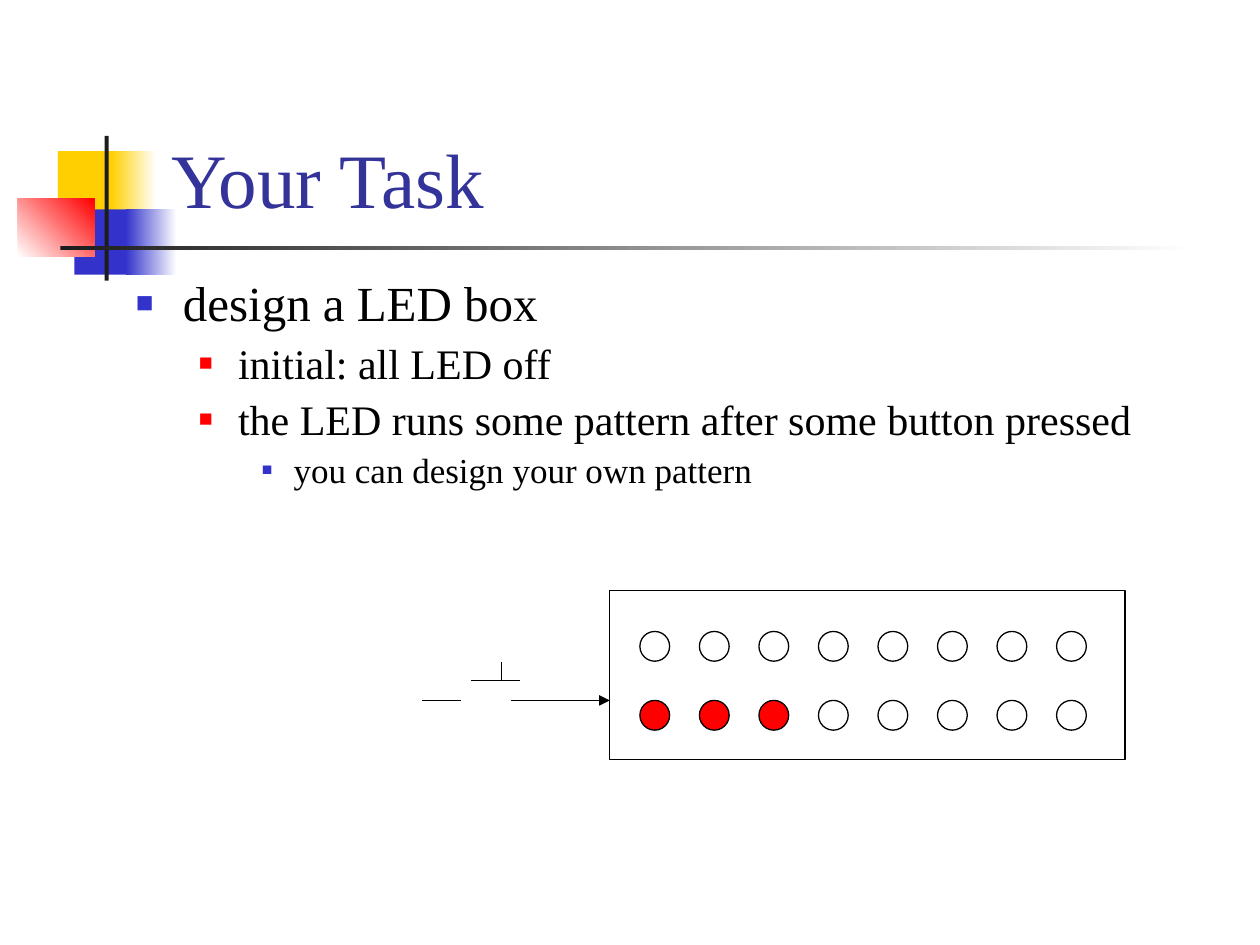
from lxml.etree import SubElement
from pptx import Presentation
from pptx.dml.color import RGBColor
from pptx.enum.shapes import MSO_CONNECTOR as CONN, MSO_SHAPE as SHAPE
from pptx.enum.text import MSO_ANCHOR as ANCHOR
from pptx.oxml.ns import qn
from pptx.util import Cm, Pt

FONT = "Times New Roman"
BLACK, WHITE, RED, BLUE = "000000", "FFFFFF", "FF0000", "3333CC"
YELLOW, DARK = "FFCF01", "1C1C1C"

TITLE = "Your Task"
BULLETS = [
    (0, "design a LED box"),
    (1, "initial: all LED off"),
    (1, "the LED runs some pattern after some button pressed"),
    (2, "you can design your own pattern"),
]
# level: size, space before, left margin, hanging indent, bullet colour, bullet percent
LEVELS = [
    (28, 7, 0.95, 0.95, BLUE, 60),
    (24, 6, 2.06, 0.79, RED, 55),
    (20, 5, 3.18, 0.64, BLUE, 50),
]
# left, top, width, height, colours, gradient angle
DECORATION = [
    (1.17, 3.05, 1.22, 1.32, [YELLOW], 0),
    (2.24, 3.05, 0.91, 1.32, [YELLOW, WHITE], 0),
    (1.5, 4.22, 1.17, 1.32, [BLUE], 0),
    (2.54, 4.22, 1.02, 1.32, [BLUE, WHITE], 0),
    (0.36, 4.01, 1.55, 1.17, [WHITE, RED], 45),
    (2.11, 2.74, 0.08, 2.92, [DARK], 0),
    (1.22, 4.95, 22.86, 0.09, [DARK, WHITE], 0),
]
LED_BOX = (12.29, 11.91, 10.39, 3.4)
LED_ROWS = [(12.73, "00000000"), (14.12, "11100000")]
LED_LEFT, LED_PITCH, LED_SIZE = 12.9, 1.2, 0.6
WIRE_Y, BUTTON_Y = 14.12, 13.72
# x1, y1, x2, y2, arrow
WIRES = [
    (8.51, WIRE_Y, 9.3, WIRE_Y, False),
    (9.5, BUTTON_Y, 10.49, BUTTON_Y, False),
    (10.11, BUTTON_Y, 10.11, 13.34, False),
    (10.31, WIRE_Y, 10.9, WIRE_Y, False),
    (10.9, WIRE_Y, 12.29, WIRE_Y, True),
]


def rgb(value):
    return RGBColor.from_string(value)


def add_shape(s, kind, box, colors=(), angle=0, outline=False):
    sp = s.shapes.add_shape(kind, *map(Cm, box))
    sp.shadow.inherit = False
    if len(colors) == 2:
        sp.fill.gradient()
        sp.fill.gradient_angle = angle
        for stop, color, position in zip(sp.fill.gradient_stops, colors, (0, 1)):
            stop.color.rgb = rgb(color)
            stop.position = position
    elif colors:
        sp.fill.solid()
        sp.fill.fore_color.rgb = rgb(colors[0])
    else:
        sp.fill.background()
    if outline:
        sp.line.color.rgb = rgb(BLACK)
        sp.line.width = Pt(0.75)
    else:
        sp.line.fill.background()


def add_wire(s, x1, y1, x2, y2, arrow):
    wire = s.shapes.add_connector(CONN.STRAIGHT, Cm(x1), Cm(y1), Cm(x2), Cm(y2))
    wire.line.color.rgb = rgb(BLACK)
    wire.line.width = Pt(0.75)
    if arrow:
        SubElement(wire.line._get_or_add_ln(), qn("a:tailEnd"), type="triangle")
    SubElement(wire._element.spPr, qn("a:effectLst"))


def add_textbox(s, box, anchor):
    tf = s.shapes.add_textbox(*map(Cm, box)).text_frame
    tf.word_wrap = True
    tf.vertical_anchor = anchor
    return tf


def style_text(p, size, color):
    font = p.runs[0].font
    font.name, font.size = FONT, Pt(size)
    font.color.rgb = rgb(color)


def set_bullet(p, margin, hanging, color, percent):
    pPr = p._p.get_or_add_pPr()
    pPr.set("marL", str(Cm(margin)))
    pPr.set("indent", str(-Cm(hanging)))
    SubElement(SubElement(pPr, qn("a:buClr")), qn("a:srgbClr"), val=color)
    SubElement(pPr, qn("a:buSzPct"), val=str(percent * 1000))
    SubElement(pPr, qn("a:buFont"), typeface=FONT)
    SubElement(pPr, qn("a:buChar"), char="■")


def main():
    prs = Presentation()
    prs.slide_width, prs.slide_height = Cm(25.4), Cm(19.05)
    s = prs.slides.add_slide(prs.slide_layouts[6])

    for *box, colors, angle in DECORATION:
        add_shape(s, SHAPE.RECTANGLE, box, colors, angle)

    tf = add_textbox(s, (3.2, 0.58, 21.64, 4.06), ANCHOR.BOTTOM)
    tf.text = TITLE
    style_text(tf.paragraphs[0], 44, "333399")

    tf = add_textbox(s, (2.49, 5.51, 20.8, 5.21), ANCHOR.TOP)
    tf.text = "\n".join(text for _, text in BULLETS)
    for p, (level, _) in zip(tf.paragraphs, BULLETS):
        size, before, *bullet = LEVELS[level]
        p.level = level
        p.line_spacing = 0.9
        p.space_before = Pt(before)
        style_text(p, size, BLACK)
        set_bullet(p, *bullet)

    add_shape(s, SHAPE.RECTANGLE, LED_BOX, outline=True)
    for top, states in LED_ROWS:
        for i, state in enumerate(states):
            box = (LED_LEFT + i * LED_PITCH, top, LED_SIZE, LED_SIZE)
            add_shape(s, SHAPE.OVAL, box, [RED] if state == "1" else [], outline=True)
    for wire in WIRES:
        add_wire(s, *wire)

    prs.save("out.pptx")


if __name__ == "__main__":
    main()
